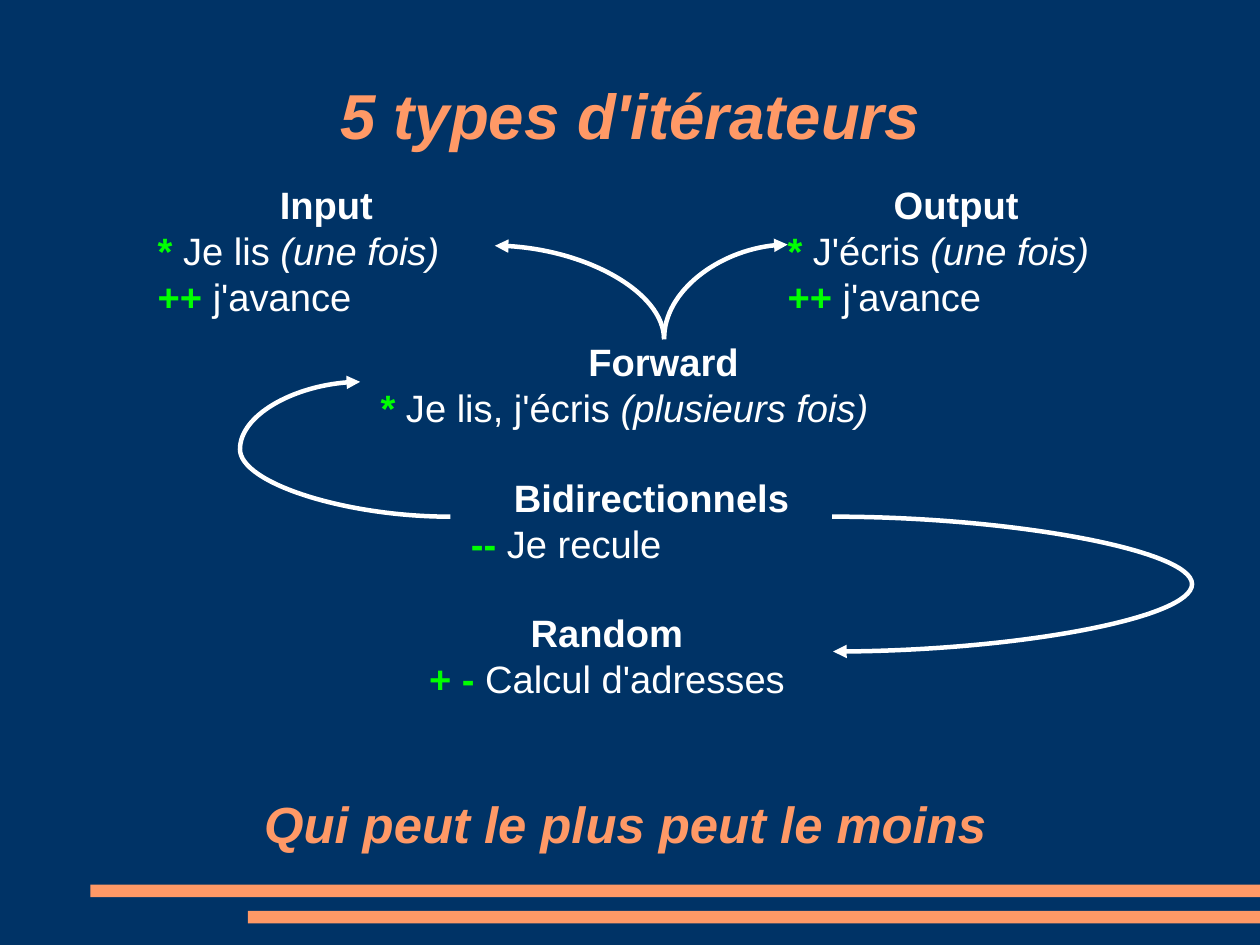
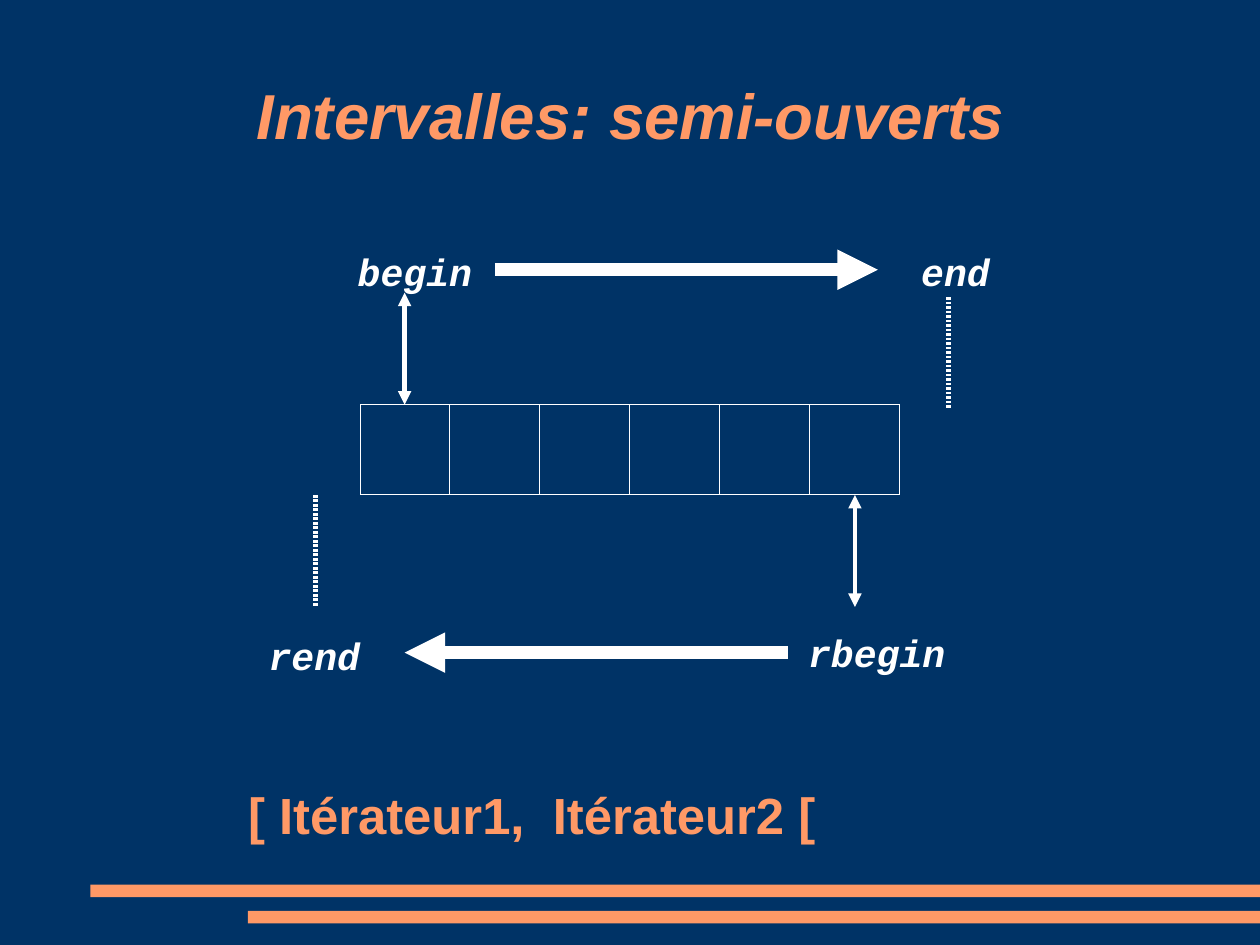
"""Two slides on iterators: their five types and half-open ranges."""
from dataclasses import dataclass

from pptx import Presentation
from pptx.dml.color import RGBColor as RGB
from pptx.enum.shapes import MSO_CONNECTOR as Link, MSO_SHAPE as Kind
from pptx.enum.text import MSO_ANCHOR as Anchor, MSO_AUTO_SIZE as Fit, PP_ALIGN as Align
from pptx.oxml.ns import qn
from pptx.oxml.xmlchemy import OxmlElement as Node
from pptx.util import Inches, Pt


@dataclass(frozen=True)
class Theme:
    back: RGB = RGB(0x00, 0x33, 0x66)
    warm: RGB = RGB(0xFF, 0x99, 0x66)
    ink: RGB = RGB(0xFF, 0xFF, 0xFF)
    mark: RGB = RGB(0x00, 0xFF, 0x00)
    sans: str = "Arial"
    mono: str = "Courier New"
    head: int = 40
    close: int = 32
    body: int = 24
    hair: float = 0.01
    thin: float = 2.83
    thick: float = 8.5


T = Theme()


def write(box, rows, align=Align.CENTER, size=T.body, font=T.sans, wrap=True):
    """Fill a box with rows of (text, colour, bold, italic) runs."""
    frame = box.text_frame
    frame.auto_size, frame.word_wrap = Fit.NONE, wrap
    frame.margin_left = frame.margin_right = frame.margin_top = frame.margin_bottom = 0
    for i, row in enumerate(rows):
        para = frame.paragraphs[0] if i == 0 else frame.add_paragraph()
        para.alignment = Align.CENTER if i == 0 and len(rows) > 1 else align
        for text, tone, bold, slant in row:
            run = para.add_run()
            run.text = text
            run.font.name, run.font.size = font, Pt(size)
            run.font.bold, run.font.italic = bold, slant
            run.font.color.rgb = tone


def join(shapes, ends, width, heads="", kind=Link.STRAIGHT, dots=False):
    """Draw a line with the ends named in heads closed by a triangle."""
    line = shapes.add_connector(kind, *[Inches(v) for v in ends])
    line.line.color.rgb, line.line.width = T.ink, Pt(width)
    pen = line.line._get_or_add_ln()
    if dots:
        dash, stop = Node("a:custDash"), Node("a:ds")
        stop.set("d", "60000")
        stop.set("sp", "40000")
        dash.append(stop)
        pen.append(dash)
    for name in ("headEnd", "tailEnd"):
        if name[:4] in heads:
            tip = Node("a:" + name)
            tip.set("type", "triangle")
            pen.append(tip)
    line.element.spPr.append(Node("a:effectLst"))
    return line


deck = Presentation()
width, height = 28 / 2.54, 21 / 2.54
deck.slide_width, deck.slide_height = Inches(width), Inches(height)
base = deck.slide_master
base.background.fill.solid()
base.background.fill.fore_color.rgb = T.back

pages = []
for name in ("5 types d'itérateurs", "Intervalles: semi-ouverts"):
    page = deck.slides.add_slide(deck.slide_layouts[5])
    title = page.shapes.title
    title.left, title.top = Inches(0.81), Inches(0.31)
    title.width, title.height = Inches(9.41), Inches(1.38)
    write(title, [[(name, T.warm, True, True)]], size=T.head)
    title.text_frame.vertical_anchor = Anchor.MIDDLE
    pages.append(page)
types, spans = [page.shapes for page in pages]

for x, y in ((0.79, 7.74), (2.17, 7.97)):
    band = types.add_shape(Kind.RECTANGLE, Inches(x), Inches(y), Inches(width - x), Inches(0.11))
    band.shadow.inherit = False
    band.fill.solid()
    band.fill.fore_color.rgb = T.warm
    band.line.fill.background()
    base.shapes.element.append(band.element)

blocks = [
    (1.38, 1.59, 2.95, 1.12, "Input", Align.LEFT,
     [("*", " Je lis ", "(une fois)"), ("++", " j'avance", "")]),
    (3.33, 2.96, 4.95, 0.74, "Forward", Align.LEFT,
     [("*", " Je lis, j'écris ", "(plusieurs fois)")]),
    (6.89, 1.59, 2.95, 1.12, "Output", Align.LEFT,
     [("*", " J'écris ", "(une fois)"), ("++", " j'avance", "")]),
    (4.12, 4.15, 3.16, 0.74, "Bidirectionnels", Align.LEFT, [("--", " Je recule", "")]),
    (3.34, 5.33, 3.94, 0.74, "Random", Align.CENTER, [("+ -", " Calcul d'adresses", "")]),
]
for x, y, w, h, name, align, lines in blocks:
    rows = [[(name, T.ink, True, False)]]
    for sign, text, note in lines:
        row = [(sign, T.mark, True, False), (text, T.ink, False, False)]
        if note:
            row.append((note, T.ink, False, True))
        rows.append(row)
    write(types.add_textbox(Inches(x), Inches(y), Inches(w), Inches(h)), rows, align)

moral = types.add_textbox(Inches(0.77), Inches(6.51), Inches(9.41), Inches(1.38))
write(moral, [[("Qui peut le plus peut le moins", T.warm, True, True)]], size=T.close)
moral.text_frame.vertical_anchor = Anchor.MIDDLE

curves = [
    ((7.28, 4.52, 7.29, 5.7), 0, "tail", 320),
    ((3.94, 4.52, 3.15, 3.34), 180, "head", -1.33),
    ((6.76, 3.09, 5.94, 2.01), 90, "tail", None),
    ((4.66, 3.3, 5.48, 1.82), 270, "tail", None),
]
for ends, turn, heads, bend in curves:
    curve = join(types, ends, T.thin, heads, Link.CURVE)
    props = curve.element.spPr
    if turn:
        props.find(qn("a:xfrm")).set("rot", str(turn * 60000))
    shape = props.find(qn("a:prstGeom"))
    if bend is None:
        shape.set("prst", "curvedConnector2")
    else:
        guide = Node("a:gd")
        guide.set("name", "adj1")
        guide.set("fmla", f"val {round(bend * 100000)}")
        shape.find(qn("a:avLst")).append(guide)

left, top, wide, high, count = 3.15, 3.54, 4.72, 0.79, 6
cells = spans.add_group_shape().shapes
frame = cells.add_shape(Kind.RECTANGLE, Inches(left), Inches(top), Inches(wide), Inches(high))
frame.shadow.inherit = False
frame.fill.background()
frame.line.color.rgb, frame.line.width = T.ink, Pt(T.hair)
for i in range(1, count):
    x = left + i * wide / count
    join(cells, (x, top, x, top + high), T.hair)

for x, y, w, name in ((3.13, 2.17, 1, "begin"), (8.06, 2.17, 0.6, "end"),
                      (7.07, 5.51, 1.2, "rbegin"), (2.35, 5.53, 0.8, "rend")):
    label = spans.add_textbox(Inches(x), Inches(y), Inches(w), Inches(0.38))
    write(label, [[(name, T.ink, True, True)]], Align.LEFT, font=T.mono, wrap=False)

for x, y, dots in ((3.54, 2.56, False), (8.3, 2.6, True), (7.48, 4.33, False), (2.76, 4.33, True)):
    join(spans, (x, y, x, y + 0.98), T.thin, "" if dots else "head tail", dots=dots)
for x, y, heads in ((4.33, 2.36, "tail"), (3.54, 5.71, "head")):
    join(spans, (x, y, x + 3.35, y), T.thick, heads)

note = spans.add_textbox(Inches(2.17), Inches(6.86), Inches(4.98), Inches(0.5))
write(note, [[("[ Itérateur1,  Itérateur2 [", T.warm, True, False)]], Align.LEFT, T.close, wrap=False)

deck.save("out.pptx")
